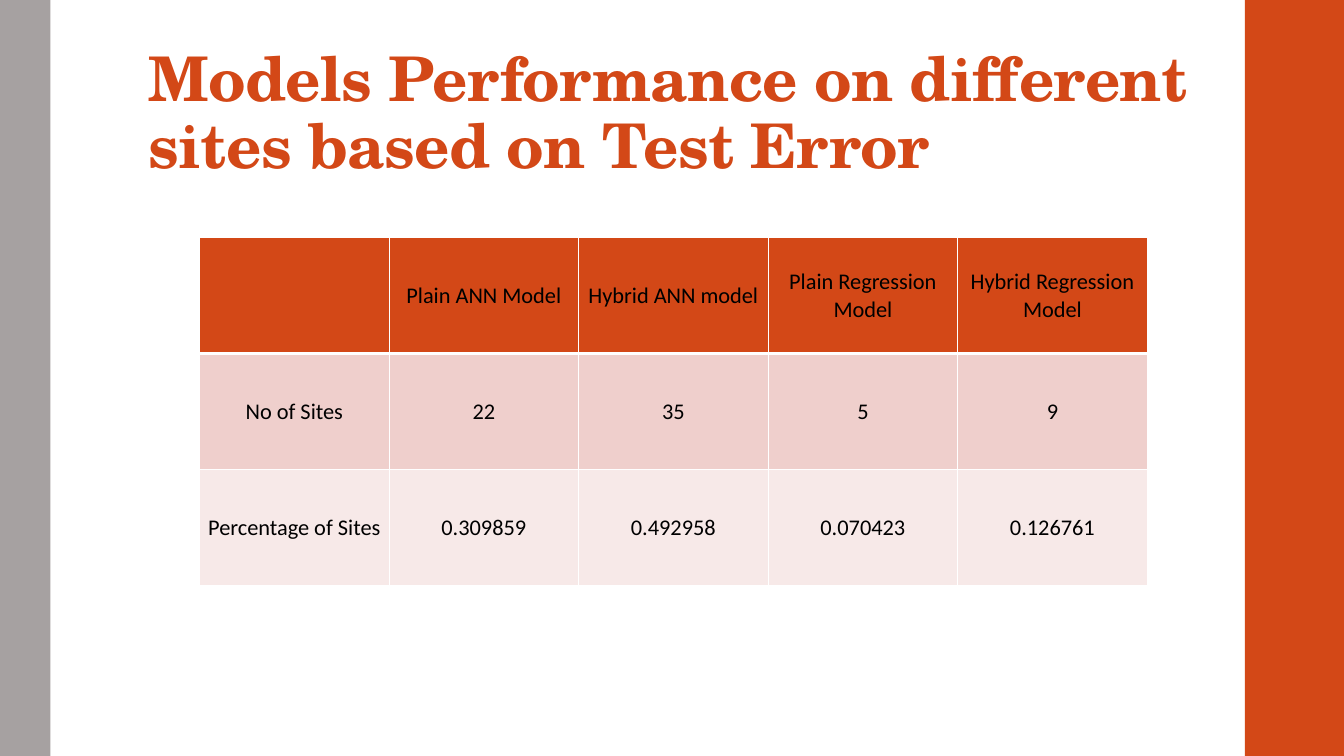
from lxml import etree
from pptx import Presentation
from pptx.dml.color import RGBColor
from pptx.enum.shapes import MSO_SHAPE
from pptx.enum.text import MSO_ANCHOR, PP_ALIGN
from pptx.oxml.ns import qn
from pptx.util import Cm, Pt

RECTANGLE = MSO_SHAPE.RECTANGLE
BOTTOM, MIDDLE = MSO_ANCHOR.BOTTOM, MSO_ANCHOR.MIDDLE
LEFT, CENTER = PP_ALIGN.LEFT, PP_ALIGN.CENTER

COLORS = {
    "accent": "D34817",
    "gray": "A6A1A1",
    "band_dark": "EFCFCC",
    "band_light": "F7E9E8",
    "white": "FFFFFF",
    "black": "000000",
}
TITLE_FONT, BODY_FONT = "TeX Gyre Schola", "Calibri"
SLIDE_WIDTH, SLIDE_HEIGHT = 33.87, 19.05

MODEL_ROWS = [
    ["", "Plain ANN Model", "Hybrid ANN model",
     "Plain Regression Model", "Hybrid Regression Model"],
    ["No of Sites", "22", "35", "5", "9"],
    ["Percentage of Sites", "0.309859", "0.492958", "0.070423", "0.126761"],
]
ROW_FILLS = ["accent", "band_dark", "band_light"]


def rgb(name):
    return RGBColor.from_string(COLORS[name])


class SlideBuilder:
    def __init__(self, slide):
        self.slide = slide

    def bar(self, left, width, color):
        box = self.slide.shapes.add_shape(
            RECTANGLE, Cm(left), Cm(0), Cm(width), Cm(SLIDE_HEIGHT))
        box.shadow.inherit = False
        box.fill.solid()
        box.fill.fore_color.rgb = rgb(color)
        box.line.fill.background()

    def style(self, para, font, size, color, align, bold=False):
        para.alignment = align
        para.font.name = font
        para.font.size = Pt(size)
        para.font.bold = bold
        para.font.color.rgb = rgb(color)

    def title(self, text, left, top, width, height):
        box = self.slide.shapes.add_textbox(Cm(left), Cm(top), Cm(width), Cm(height))
        frame = box.text_frame
        frame.word_wrap = True
        frame.vertical_anchor = BOTTOM
        frame.margin_left = frame.margin_right = Cm(0.25)
        frame.margin_top, frame.margin_bottom = Cm(0.08), Cm(0.13)
        para = frame.paragraphs[0]
        para.line_spacing = 0.9
        self.style(para, TITLE_FONT, 44, "accent", LEFT, bold=True)
        span = para.add_run()
        span.text = text
        # Letter spacing in hundredths of a point
        span._r.get_or_add_rPr().set("spc", "-50")

    def borders(self, cell, top, bottom):
        properties = cell._tc.get_or_add_tcPr()
        widths = {"a:lnL": 1, "a:lnR": 1, "a:lnT": top, "a:lnB": bottom}
        for index, (tag, width) in enumerate(widths.items()):
            line = etree.Element(qn(tag), w=str(Pt(width)))
            fill = etree.SubElement(line, qn("a:solidFill"))
            etree.SubElement(fill, qn("a:srgbClr"), val=COLORS["white"])
            properties.insert(index, line)

    def table(self, rows, fills, left, top, width, height):
        table = self.slide.shapes.add_table(
            len(rows), len(rows[0]), Cm(left), Cm(top), Cm(width), Cm(height)).table
        table.first_row = table.horz_banding = False
        for row, values in enumerate(rows):
            for column, value in enumerate(values):
                cell = table.cell(row, column)
                cell.fill.solid()
                cell.fill.fore_color.rgb = rgb(fills[row])
                cell.vertical_anchor = MIDDLE
                cell.margin_left = cell.margin_right = cell.margin_top = Cm(0.02)
                cell.margin_bottom = Cm(0)
                cell.text = value
                self.style(cell.text_frame.paragraphs[0],
                           BODY_FONT, 16, "black", CENTER)
                # The rule under the header is heavier
                self.borders(cell, top=3 if row == 1 else 1,
                             bottom=3 if row == 0 else 1)


def main():
    deck = Presentation()
    deck.slide_width, deck.slide_height = Cm(SLIDE_WIDTH), Cm(SLIDE_HEIGHT)
    page = SlideBuilder(deck.slides.add_slide(deck.slide_layouts[6]))

    # Side bars
    page.bar(31.37, 2.5, "accent")
    page.bar(0, 1.27, "gray")

    # Title
    page.title("Models Performance on different sites based on Test Error",
               3.5, 0.81, 26.92, 3.89)

    # Results by model
    page.table(MODEL_ROWS, ROW_FILLS, 5.03, 5.98, 23.88, 8.78)

    deck.save("out.pptx")


if __name__ == "__main__":
    main()
